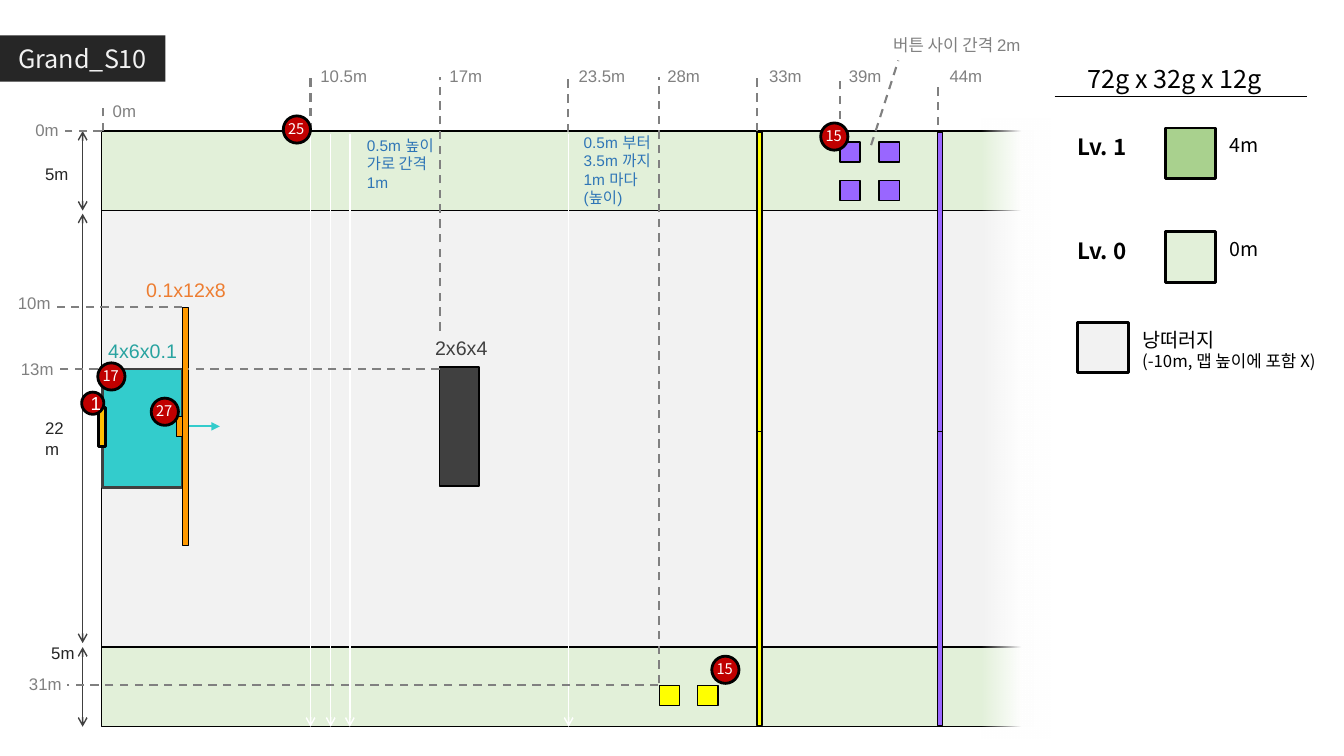
"""Draw the Grand_S10 level map with its distance marks and height legend."""
import itertools

import pptx
import pptx.util
import pptx.dml.color
import pptx.enum.dml
import pptx.enum.shapes
import pptx.enum.text
import pptx.oxml
import pptx.oxml.ns

Inches = pptx.util.Inches
Pt = pptx.util.Pt
RGB = pptx.dml.color.RGBColor
ALIGN = pptx.enum.text.PP_ALIGN
FIT = pptx.enum.text.MSO_AUTO_SIZE
KIND = pptx.enum.shapes.MSO_SHAPE
MIDDLE = pptx.enum.text.MSO_ANCHOR.MIDDLE

BLACK = RGB(0, 0, 0)
WHITE = RGB(255, 255, 255)
INK = RGB(0x26, 0x26, 0x26)
PALE = RGB(0xF2, 0xF2, 0xF2)
DARK = RGB(0x40, 0x40, 0x40)
GRAY = RGB(0x80, 0x80, 0x80)
MINT = RGB(0xE2, 0xF0, 0xD9)
GREEN = RGB(0xA9, 0xD1, 0x8E)
TEAL = RGB(0x33, 0xCC, 0xCC)
SEA = RGB(0x28, 0xA3, 0xA0)
ORANGE = RGB(0xFF, 0x99, 0)
RUST = RGB(0xED, 0x7D, 0x31)
GOLD = RGB(0xFF, 0xC0, 0)
YELLOW = RGB(0xFF, 0xFF, 0)
VIOLET = RGB(0x99, 0x66, 0xFF)
BLUE = RGB(0x2E, 0x75, 0xB6)
RED = RGB(0xC0, 0, 0)

SANS = "Arial"
NOTO = "Noto Sans CJK KR"
LEFT, TOP, BASE, WIDE = 1.01, 1.3, 7.21, 9.24


def set_all(item, vals):
    """Set each named value on the item."""
    for key, val in vals.items():
        setattr(item, key, val)


def write(shape, lines, size, color, font=SANS, align=ALIGN.LEFT, bold=False):
    """Write lines of text, each as its own paragraph."""
    frame = shape.text_frame
    for spot, text in enumerate(lines):
        para = frame.paragraphs[0] if spot == 0 else frame.add_paragraph()
        para.alignment = align
        run = para.add_run()
        run.text = text
        set_all(run.font, {"name": font, "size": Pt(size), "bold": bold})
        run.font.color.rgb = color
        east = pptx.oxml.parse_xml(
            f'<a:ea {pptx.oxml.ns.nsdecls("a")} typeface="{NOTO}"/>')
        run.font._element.append(east)


def add_box(shapes, at, fill, edge=1, line=BLACK, kind=KIND.RECTANGLE):
    """Add a filled and outlined shape."""
    box = shapes.add_shape(kind, *map(Inches, at))
    box.shadow.inherit = False
    box.fill.solid()
    box.fill.fore_color.rgb = fill
    box.line.color.rgb = line
    box.line.width = Pt(edge)
    return box


def add_note(shapes, at, lines, size, color, wrap=True, **look):
    """Add a text box."""
    note = shapes.add_textbox(*map(Inches, at))
    set_all(note.text_frame, {"word_wrap": wrap, "auto_size": FIT.SHAPE_TO_FIT_TEXT})
    write(note, lines, size, color, **look)
    return note


def add_line(shapes, start, end, color, width=1.0, dash=False, head=None, tail=None):
    """Add a straight line with an optional dash and arrowheads."""
    line = shapes.add_connector(pptx.enum.shapes.MSO_CONNECTOR.STRAIGHT,
                                *map(Inches, (*start, *end)))
    line.line.color.rgb = color
    line.line.width = Pt(width)
    if dash:
        line.line.dash_style = pptx.enum.dml.MSO_LINE.DASH
    space = pptx.oxml.ns.nsdecls("a")
    stroke = line.element.xpath(".//a:ln")[0]
    for tag, tip in (("headEnd", head), ("tailEnd", tail)):
        if tip:
            stroke.append(pptx.oxml.parse_xml(f'<a:{tag} {space} type="{tip}"/>'))
    line.element.spPr.append(pptx.oxml.parse_xml(f"<a:effectLst {space}/>"))
    return line


def add_dash(shapes, start, end):
    """Add a gray dashed guide."""
    add_line(shapes, start, end, GRAY, 1.5, dash=True)


def add_badge(shapes, left, top, text):
    """Add a red numbered disc."""
    group = shapes.add_group_shape().shapes
    add_box(group, (left, top, 0.27, 0.27), RED, 2, kind=KIND.OVAL)
    add_note(group, (left - 0.05, top - 0.01, 0.36, 0.28), [text], 10.5, WHITE,
             wrap=False, font=NOTO)


def add_fade(shapes, at):
    """Add a white fade over the right end of the map."""
    fade = add_box(shapes, at, WHITE)
    fade.line.fill.background()
    fade.fill.gradient()
    fade.fill.gradient_angle = 0
    for stop, place in zip(fade.fill.gradient_stops, (0, 0.58)):
        stop.color.rgb = WHITE
        stop.position = place
    clear = pptx.oxml.parse_xml(f'<a:alpha {pptx.oxml.ns.nsdecls("a")} val="0"/>')
    fade.element.xpath(".//a:gs/a:srgbClr")[0].append(clear)


def add_title(shapes):
    """Place and format the title."""
    title = shapes.title
    set_all(title, {"left": 0, "top": Inches(0.35),
                    "width": Inches(1.64), "height": Inches(0.46)})
    title.fill.solid()
    title.fill.fore_color.rgb = INK
    set_all(title.text_frame, {"vertical_anchor": MIDDLE, "word_wrap": True,
                               "auto_size": FIT.NONE})
    write(title, ["Grand_S10"], 18, PALE, NOTO, ALIGN.CENTER)


def add_map(shapes):
    """Add the ground bands, their depths and the objects on them."""
    for top, high, fill in ((TOP, 0.79, MINT), (2.09, 4.33, PALE), (6.42, 0.79, MINT)):
        add_box(shapes, (LEFT, top, WIDE, high), fill)
    for top, end, text, left, place in ((TOP, 2.09, "5m", 0.35, 1.58),
                                        (2.12, 6.38, "22m", 0.35, 4.1),
                                        (6.42, BASE, "5m", 0.41, 6.33)):
        add_line(shapes, (0.82, top), (0.82, end), DARK, head="arrow", tail="arrow")
        add_note(shapes, (left, place, 0.5, 0.3), [text], 12, INK, wrap=False)
    add_box(shapes, (1.02, 3.66, 0.79, 1.18), TEAL, 2, DARK)
    add_box(shapes, (1.75, 4.13, 0.06, 0.2), ORANGE)
    wall = add_box(shapes, (1.81, 3.05, 0.06, 2.36), ORANGE)
    push = add_line(shapes, (1.87, 4.23), (2.18, 4.23), TEAL, 1.5, tail="triangle")
    push.begin_connect(wall, 3)
    add_box(shapes, (4.36, 3.64, 0.39, 1.18), DARK)
    for left, top, text, color in ((4.02, 3.28, "2x6x4", DARK), (0.86, 3.31, "4x6x0.1", SEA),
                                   (1.29, 2.71, "0.1x12x8", RUST)):
        add_note(shapes, (left, top, 1.11, 0.34), [text], 14, color, align=ALIGN.CENTER)
    for left in (6.54, 6.92):
        add_box(shapes, (left, 6.8, 0.2, 0.2), YELLOW)
    for top, left in itertools.product((1.41, 1.79), (8.33, 8.72)):
        add_box(shapes, (left, top, 0.2, 0.2), VIOLET)
    for left, fill in ((7.51, YELLOW), (9.3, VIOLET)):
        group = shapes.add_group_shape().shapes
        for top in (4.23, 1.31):
            add_box(group, (left, top, 0.05, 2.97), fill)
    add_fade(shapes, (9.74, 1.18, 0.68, 6.15))
    for left in (3.08, 3.28, 3.47, 5.64):
        add_line(shapes, (left, 1.33), (left, BASE), WHITE, tail="arrow")
    add_note(shapes, (3.54, 1.3, 1.2, 0.66), ["0.5m 높이", "가로 간격", "1m"], 11, BLUE)
    add_note(shapes, (5.69, 1.27, 1.08, 0.84),
             ["0.5m 부터", "3.5m 까지", "1m 마다", "(높이)"], 11, BLUE)


def add_marks(shapes):
    """Add the distance marks along the top and the left."""
    for text, left, top, x, start, end in (
            ("0m", 1.02, 0.95, 1.02, 1.3, 1.03), ("10.5m", 3.08, 0.6, 3.08, 1.3, 0.76),
            ("17m", 4.36, 0.6, 4.36, 3.28, 0.76), ("23.5m", 5.64, 0.6, 5.63, 1.31, 0.76),
            ("28m", 6.52, 0.6, 6.54, 6.78, 0.76), ("33m", 7.53, 0.6, 7.51, 1.3, 0.76),
            ("39m", 8.32, 0.6, 8.33, 1.18, 0.76), ("44m", 9.32, 0.6, 9.3, 1.24, 0.82)):
        add_note(shapes, (left, top, 0.73, 0.3), [text], 12, GRAY)
        add_dash(shapes, (x, start), (x, end))
    for text, left, top, y, start, end in (
            ("0m", -0.05, 1.14, 1.3, 1.01, 0.64), ("10m", -0.13, 2.86, 3.05, 1.81, 0.57),
            ("13m", -0.1, 3.51, 3.66, 0.97, 0.6), ("31m", -0.02, 6.63, 6.8, 6.53, 0.66)):
        add_note(shapes, (left, top, 0.73, 0.3), [text], 12, GRAY, align=ALIGN.RIGHT)
        add_dash(shapes, (start, y), (end, y))
    add_dash(shapes, (4.36, 3.66), (1.86, 3.66))
    add_dash(shapes, (8.64, 1.44), (8.91, 0.6))
    add_note(shapes, (8.76, 0.3, 1.6, 0.3), ["버튼 사이 간격 2m"], 12, GRAY)


def add_discs(shapes):
    """Add the numbered discs and the start gate."""
    for left, top, text in ((0.97, 3.6, "17"), (7.06, 6.51, "15"), (1.5, 3.95, "27"),
                            (8.14, 1.22, "15"), (2.81, 1.15, "25")):
        add_badge(shapes, left, top, text)
    add_box(shapes, (0.82, 4.2, 0.39, 0.07), GOLD, 2).rotation = 90
    start = add_box(shapes, (0.81, 3.89, 0.22, 0.22), RED, 2, kind=KIND.OVAL)
    start.text_frame.vertical_anchor = MIDDLE
    write(start, ["1"], 13.4, WHITE, align=ALIGN.CENTER)


def add_key(shapes):
    """Add the map size and the height legend."""
    add_line(shapes, (10.46, 0.96), (12.96, 0.96), BLACK)
    add_note(shapes, (10.55, 0.58, 2.2, 0.4), ["72g x 32g x 12g"], 18, BLACK,
             font=NOTO, align=ALIGN.CENTER)
    for top, name, high, fill in ((1.27, "Lv. 1", "4m", GREEN), (2.3, "Lv. 0", "0m", MINT)):
        add_box(shapes, (11.56, top, 0.5, 0.5), fill, 2)
        add_note(shapes, (12.1, top, 0.71, 0.33), [high], 14, BLACK, font=NOTO)
        add_note(shapes, (10.59, top, 1.07, 0.37), [name], 16, BLACK, font=NOTO, bold=True)
    add_box(shapes, (10.69, 3.2, 0.5, 0.5), PALE, 2)
    cliff = add_note(shapes, (11.23, 3.2, 2.04, 0.54), ["낭떠러지", "(-10m, 맵 높이에 포함 X)"],
                     14, BLACK, font=NOTO)
    cliff.text_frame.paragraphs[1].runs[0].font.size = Pt(12)


def main():
    """Build and save the slide."""
    deck = pptx.Presentation()
    set_all(deck, {"slide_width": Inches(13.33), "slide_height": Inches(7.5)})
    shapes = deck.slides.add_slide(deck.slide_layouts[5]).shapes
    for draw in (add_title, add_map, add_marks, add_discs, add_key):
        draw(shapes)
    deck.save("out.pptx")


if __name__ == "__main__":
    main()
